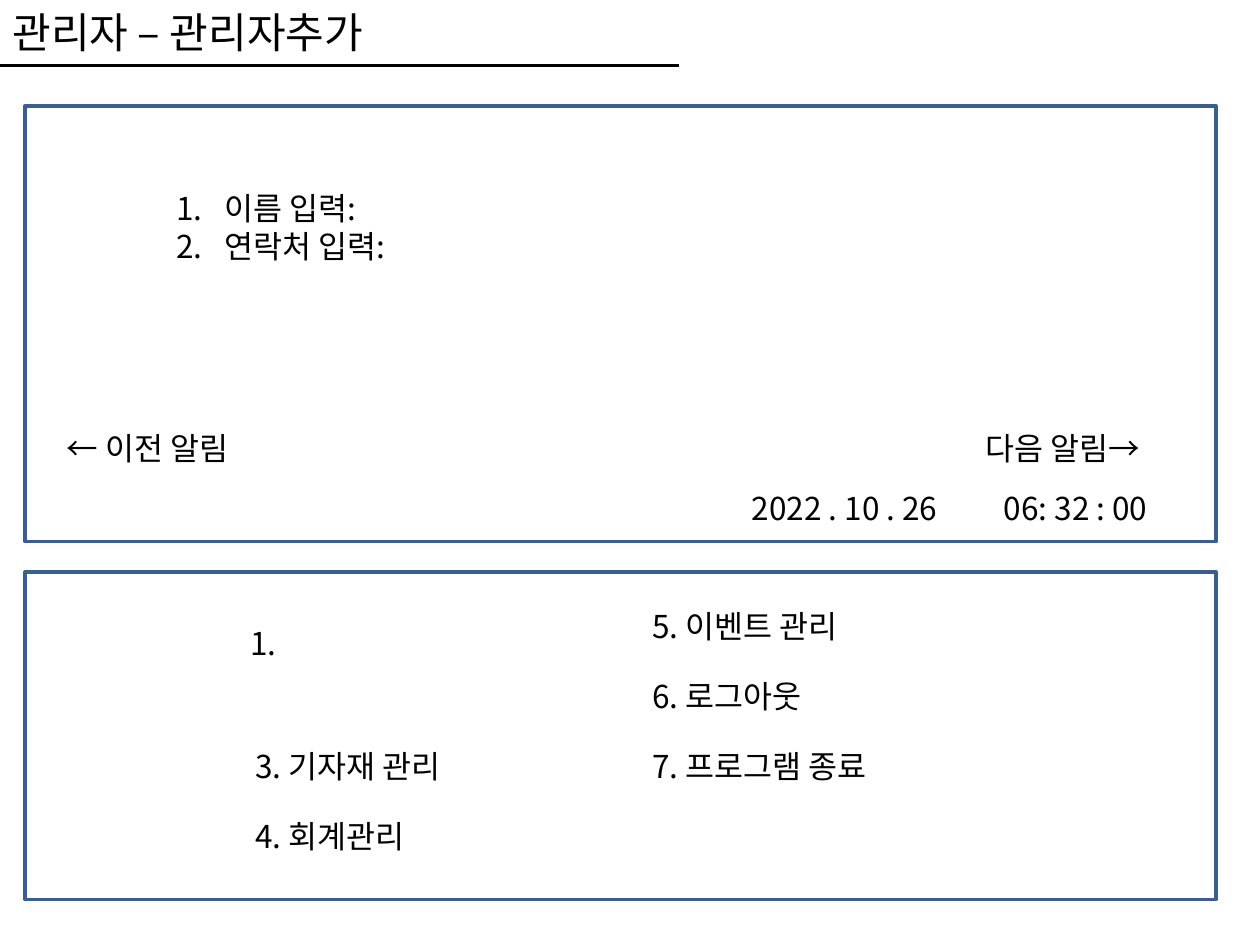
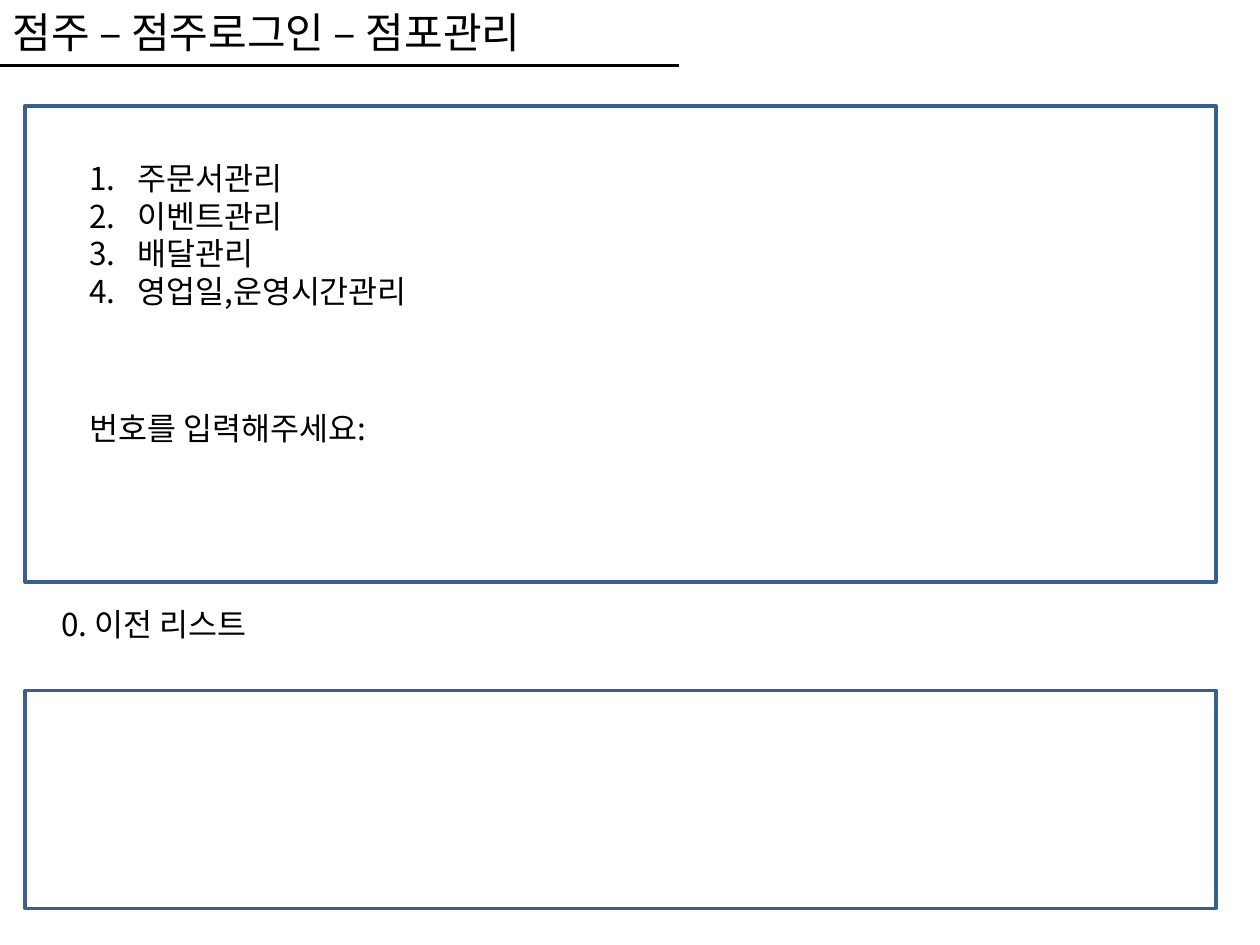
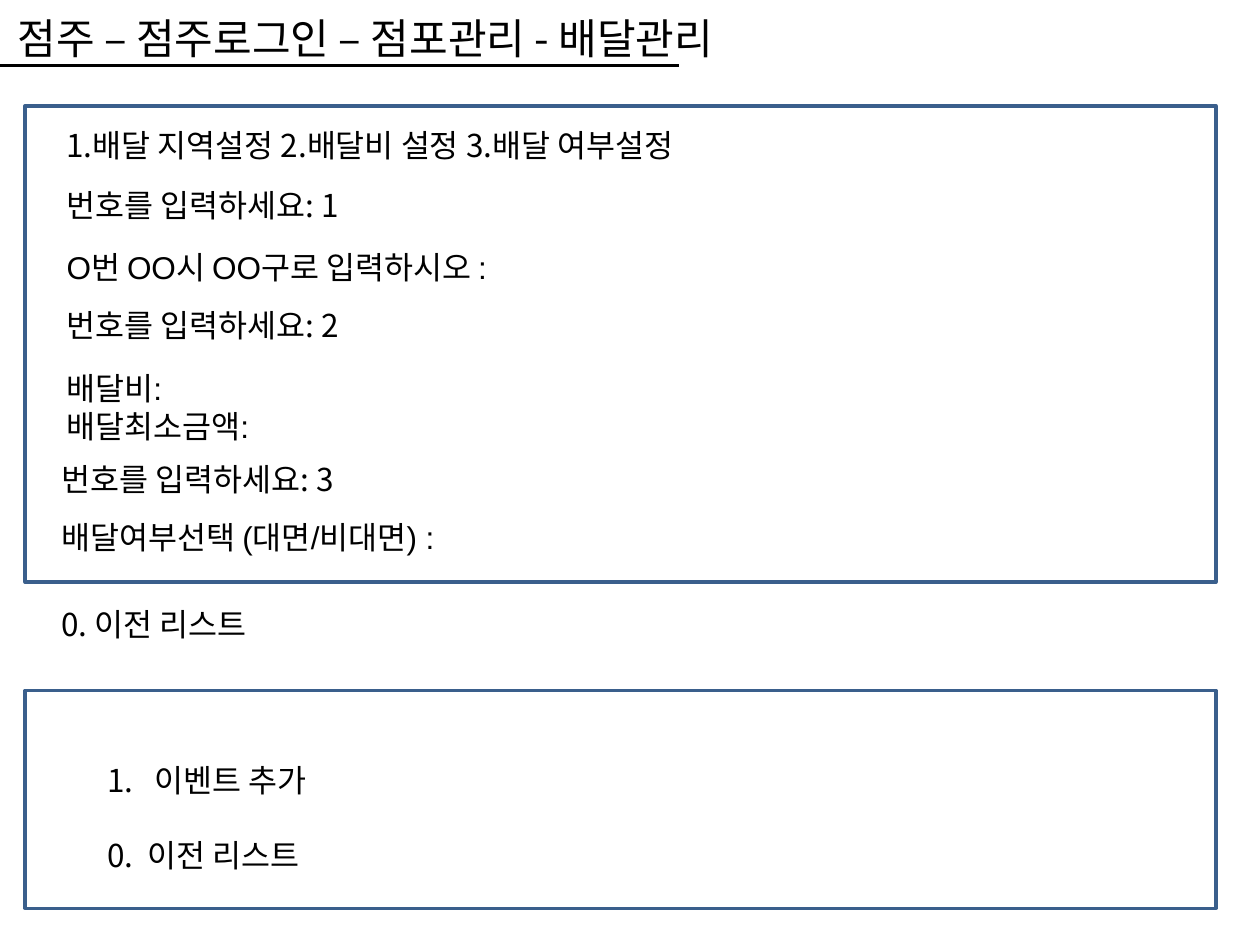
from lxml.etree import SubElement as Sub
from pptx import Presentation
from pptx.dml.color import RGBColor
from pptx.enum.shapes import MSO_CONNECTOR as Line, MSO_SHAPE as Shape
from pptx.enum.text import MSO_ANCHOR as Anchor, MSO_AUTO_SIZE as Auto, PP_ALIGN as Align
from pptx.oxml.ns import qn
from pptx.util import Inches, Pt

KOREAN = "Noto Sans CJK KR"
LATIN = "Arial"
INK = "000000"
EDGE = "3A5F8C"
FRAME = dict(word_wrap=True, auto_size=Auto.NONE, vertical_anchor=Anchor.TOP)
PARA = dict(alignment=Align.LEFT, space_before=Pt(0), line_spacing=1.0)
HANG = Inches(0.38)
ROW = 0.4
BACK = "0. 이전 리스트"


def color(code):
    return RGBColor.from_string(code)


def apply(item, values):
    for key, value in values.items():
        setattr(item, key, value)


def place(shape, left, top, width, height):
    apply(shape, dict(left=Inches(left), top=Inches(top),
                      width=Inches(width), height=Inches(height)))


def write(para, text, size=18, font=KOREAN):
    apply(para, PARA)
    run = para.add_run()
    run.text = text
    run.font.color.rgb = color(INK)
    apply(run.font, dict(size=Pt(size), name=font))
    Sub(run.font._element, qn("a:ea"), typeface=KOREAN)


def fill_box(frame, lines, size=18, font=KOREAN):
    apply(frame, FRAME)
    for num, line in enumerate(lines):
        para = frame.add_paragraph() if num else frame.paragraphs[0]
        write(para, line, size, font)


def label(slide, text, left, top, width, font=KOREAN):
    lines = text.split("\n")
    box = slide.shapes.add_textbox(Inches(left), Inches(top), Inches(width),
                                   Inches(0.1 + 0.3 * len(lines)))
    fill_box(box.text_frame, lines, font=font)


def panel(slide, top, height):
    box = slide.shapes.add_shape(Shape.RECTANGLE, Inches(0.2), Inches(top),
                                 Inches(9.45), Inches(height))
    box.shadow.inherit = False
    box.fill.background()
    box.line.color.rgb = color(EDGE)
    box.line.width = Pt(2)


def rule(slide):
    line = slide.shapes.add_connector(Line.STRAIGHT, 0, Inches(0.52),
                                      Inches(5.39), Inches(0.52))
    line.line.color.rgb = color(INK)
    line.line.width = Pt(1.75)
    Sub(line._element.spPr, qn("a:effectLst"))


def indent(para, left, first):
    props = para._p.get_or_add_pPr()
    props.set("marL", str(left))
    props.set("indent", str(first))
    return props


def number(para):
    Sub(indent(para, HANG, -HANG), qn("a:buAutoNum"), type="arabicPeriod")


def plain(para):
    Sub(indent(para, 0, 0), qn("a:buNone"))


def fill_list(slide, lines, left, top, width, height):
    body = slide.placeholders[1]
    place(body, left, top, width, height)
    fill_box(body.text_frame, lines)
    for para in body.text_frame.paragraphs:
        number(para) if not para.text.startswith("0.") else plain(para)
    return body.text_frame.paragraphs


def start(deck, text, left=0, top=0):
    slide = deck.slides.add_slide(deck.slide_layouts[1])
    title = slide.shapes.title
    place(title, left, top, 6.97, 0.5)
    fill_box(title.text_frame, [text], 24)
    rule(slide)
    return slide


def add_admin(deck):
    slide = start(deck, "관리자 – 관리자추가")
    panel(slide, 0.84, 3.46)
    panel(slide, 4.54, 2.6)
    fill_list(slide, ["이름 입력:", "연락처 입력:"], 1.3, 1.45, 3, 1.62)
    label(slide, "← 이전 알림", 0.43, 3.36, 5.83)
    label(slide, "다음 알림→", 7.72, 3.36, 2)
    label(slide, "2022 . 10 . 26 \t06: 32 : 00", 5.87, 3.83, 4)
    label(slide, "1.", 1.89, 4.9, 2.83)
    menu = [(1.93, 2, ["3. 기자재 관리", "4. 회계관리"]),
            (5.08, 0, ["5. 이벤트 관리", "6. 로그아웃", "7. 프로그램 종료"])]
    for left, first, names in menu:
        for row, name in enumerate(names, first):
            label(slide, name, left, 4.77 + 0.555 * row, 2.83)


def start_shop(deck, text, left=0, top=0):
    slide = start(deck, text, left, top)
    panel(slide, 0.84, 3.78)
    panel(slide, 5.48, 1.73)
    label(slide, BACK, 0.39, 4.75, 4.33)
    return slide


def add_shop(deck):
    slide = start_shop(deck, "점주 – 점주로그인 – 점포관리")
    tasks = ["주문서관리", "이벤트관리", "배달관리", "영업일,운영시간관리"]
    fill_list(slide, tasks, 0.61, 1.21, 3.78, 1.31)
    label(slide, "번호를 입력해주세요:", 0.61, 3.2, 4.88)


def add_courier(deck):
    slide = start_shop(deck, "점주 – 점주로그인 – 점포관리 - 배달관리", 0.04, 0.05)
    paras = fill_list(slide, ["이벤트 추가", "0.  이전 리스트"], 0.75, 5.99, 4.33, 1.01)
    paras[1].space_before = Pt(21.5)
    steps = [
        ("1.배달 지역설정 2.배달비 설정 3.배달 여부설정", 0.43, 0.95, KOREAN),
        ("번호를 입력하세요: 1", 0.43, 1.43, KOREAN),
        ("O번 OO시 OO구로 입력하시오 :", 0.43, 1.92, LATIN),
        ("번호를 입력하세요: 2", 0.43, 2.38, KOREAN),
        ("배달비:\n배달최소금액:", 0.43, 2.88, LATIN),
        ("번호를 입력하세요: 3", 0.39, 3.6, KOREAN),
        ("배달여부선택 (대면/비대면) :", 0.39, 4.06, LATIN),
    ]
    for text, left, top, font in steps:
        label(slide, text, left, top, 8.74, font)


def main():
    deck = Presentation()
    apply(deck, dict(slide_width=Inches(10), slide_height=Inches(7.5)))
    add_admin(deck)
    add_shop(deck)
    add_courier(deck)
    deck.save("out.pptx")


if __name__ == "__main__":
    main()
